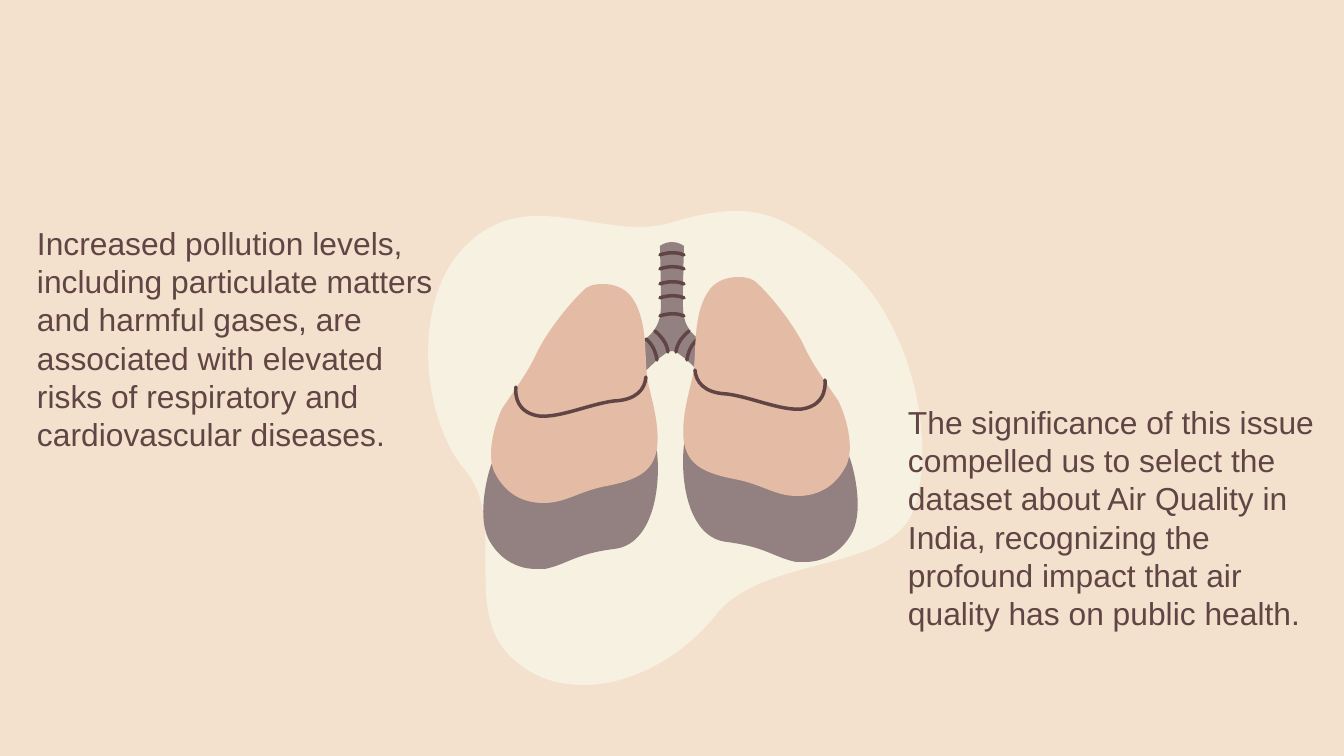
from pptx import Presentation
from pptx.dml.color import RGBColor as Rgb
from pptx.enum.text import MSO_ANCHOR as Anchor, PP_ALIGN as Align
from pptx.oxml.ns import qn
from pptx.util import Pt

PX = 914400 / 134.4
SAND, CREAM, MAUVE, PEACH, BROWN = "F3E1CE", "F6F1E1", "938080", "E4BBA5", "614444"

BLOB = [
    (328, 0), (308, 0), (288, 4), (261, 12), (250, 15), (241, 16), (230, 16),
    (198, 16), (163, 5), (129, 5), (106, 5), (83, 11), (62, 30),
    (0, 83), (12, 207), (56, 259), (101, 312), (48, 406), (109, 452),
    (128, 468), (151, 474), (175, 474), (223, 474), (274, 445), (306, 405),
    (353, 343), (485, 363), (505, 297), (527, 231), (505, 113), (435, 52),
    (390, 15), (362, 0), (328, 0),
]
WINDPIPE_HALF = [
    (0, 0), (7, 0), (12, 4), (12, 4), (12, 4), (11, 44), (11, 58),
    (11, 71), (11, 82), (22, 93), (27, 98), (34, 103), (39, 109),
    (39, 109), (39, 125), (31, 133), (31, 133), (22, 125), (15, 118),
    (7, 112), (4, 109), (0, 109),
]
BRANCH_RINGS = [
    [(17, 89), (11, 94), (5, 101), (4, 110)],
    [(26, 97), (26, 97), (17, 103), (15, 118)],
]
LUNG_BASE = [
    (78, 141), (40, 141), (7, 151), (4, 168), (0, 203), (8, 261), (47, 265),
    (86, 270), (93, 280), (116, 285), (120, 285), (122, 285), (125, 285),
    (145, 285), (163, 274), (173, 254), (184, 230), (173, 188), (169, 179),
    (163, 153), (118, 141), (78, 141),
]
LUNG_LOBE = [
    (58, 0), (46, 0), (34, 5), (28, 15), (12, 39), (17, 79), (13, 98),
    (9, 117), (1, 141), (4, 165), (8, 188), (24, 196), (54, 202),
    (82, 207), (95, 219), (117, 219), (118, 219), (118, 219), (120, 219),
    (142, 218), (156, 207), (165, 191), (175, 175), (168, 144), (159, 125),
    (148, 108), (136, 93), (126, 73), (117, 52), (94, 22), (78, 7),
    (73, 1), (65, 0), (58, 0),
]
LUNG_FISSURE = [
    (145, 103), (145, 103), (149, 128), (122, 132), (101, 134), (71, 120),
    (47, 117), (24, 116), (16, 105), (15, 93),
]


def emu(px):
    return round(px * PX)


def color(value):
    return Rgb.from_string(value)


def apply_format(target, values):
    for name, value in values.items():
        setattr(target, name, value)


def mirror(points, width=0):
    return [(width - x, y) for x, y in points]


def bend_segments(shape):
    segments = list(shape._element.iter(qn("a:lnTo")))
    for first, second, third in zip(segments[::3], segments[1::3], segments[2::3]):
        first.tag = qn("a:cubicBezTo")
        for extra in (second, third):
            first.append(extra[0])
            extra.getparent().remove(extra)


def add_curve(page, origin, points, fill=None):
    left, top = origin
    outline = [(left + x, top + y) for x, y in points]
    builder = page.shapes.build_freeform(*outline[0], scale=PX)
    builder.add_line_segments(outline[1:], close=fill is not None)
    shape = builder.convert_to_shape()
    bend_segments(shape)
    shape.shadow.inherit = False
    if fill:
        shape.fill.solid()
        shape.fill.fore_color.rgb = color(fill)
        shape.line.fill.background()
    else:
        shape.fill.background()
        shape.line.color.rgb = color(BROWN)
        shape.line.width = Pt(1.88)
        shape.line._get_or_add_ln().set("cap", "rnd")


def add_windpipe(page, box):
    left, top, width, _ = box
    origin = (left + width // 2, top)
    outline = WINDPIPE_HALF + mirror(WINDPIPE_HALF)[::-1][1:]
    add_curve(page, origin, outline, MAUVE)
    for ring in BRANCH_RINGS:
        add_curve(page, origin, mirror(ring))
        add_curve(page, origin, ring)
    for y in (13, 27, 42, 56, 74):
        add_curve(page, origin, [(-12, y), (-12, y), (1, y - 5), (12, y)])


def add_lung(page, box, mirrored=False):
    left, top, width, _ = box
    for points, fill in ((LUNG_BASE, MAUVE), (LUNG_LOBE, PEACH), (LUNG_FISSURE, None)):
        placed = mirror(points, width) if mirrored else points
        add_curve(page, (left, top), placed, fill)


def add_statement(page, box, text):
    frame = page.shapes.add_textbox(*map(emu, box)).text_frame
    margins = {f"margin_{side}": emu(13) for side in ("left", "top", "right", "bottom")}
    apply_format(frame, {"word_wrap": True, "vertical_anchor": Anchor.TOP, **margins})
    para = frame.paragraphs[0]
    para.alignment = Align.LEFT
    span = para.add_run()
    span.text = text
    apply_format(span.font, {"name": "Arial", "size": Pt(17)})
    span.font.color.rgb = color(BROWN)


def main():
    deck = Presentation()
    apply_format(deck, {"slide_width": emu(1344), "slide_height": emu(756)})
    page = deck.slides.add_slide(deck.slide_layouts[6])
    page.background.fill.solid()
    page.background.fill.fore_color.rgb = color(SAND)

    add_curve(page, (409, 211), BLOB, CREAM)
    add_windpipe(page, (633, 242, 78, 133))
    add_lung(page, (680, 277, 184, 285))
    add_lung(page, (477, 284, 184, 285), mirrored=True)
    add_statement(
        page, (24, 211, 425, 374),
        "Increased pollution levels, including particulate matters and harmful gases, "
        "are associated with elevated risks of respiratory and cardiovascular diseases.",
    )
    add_statement(
        page, (895, 390, 446, 366),
        "The significance of this issue compelled us to select the dataset about Air Quality "
        "in India, recognizing the profound impact that air quality has on public health.",
    )
    deck.save("out.pptx")


if __name__ == "__main__":
    main()
